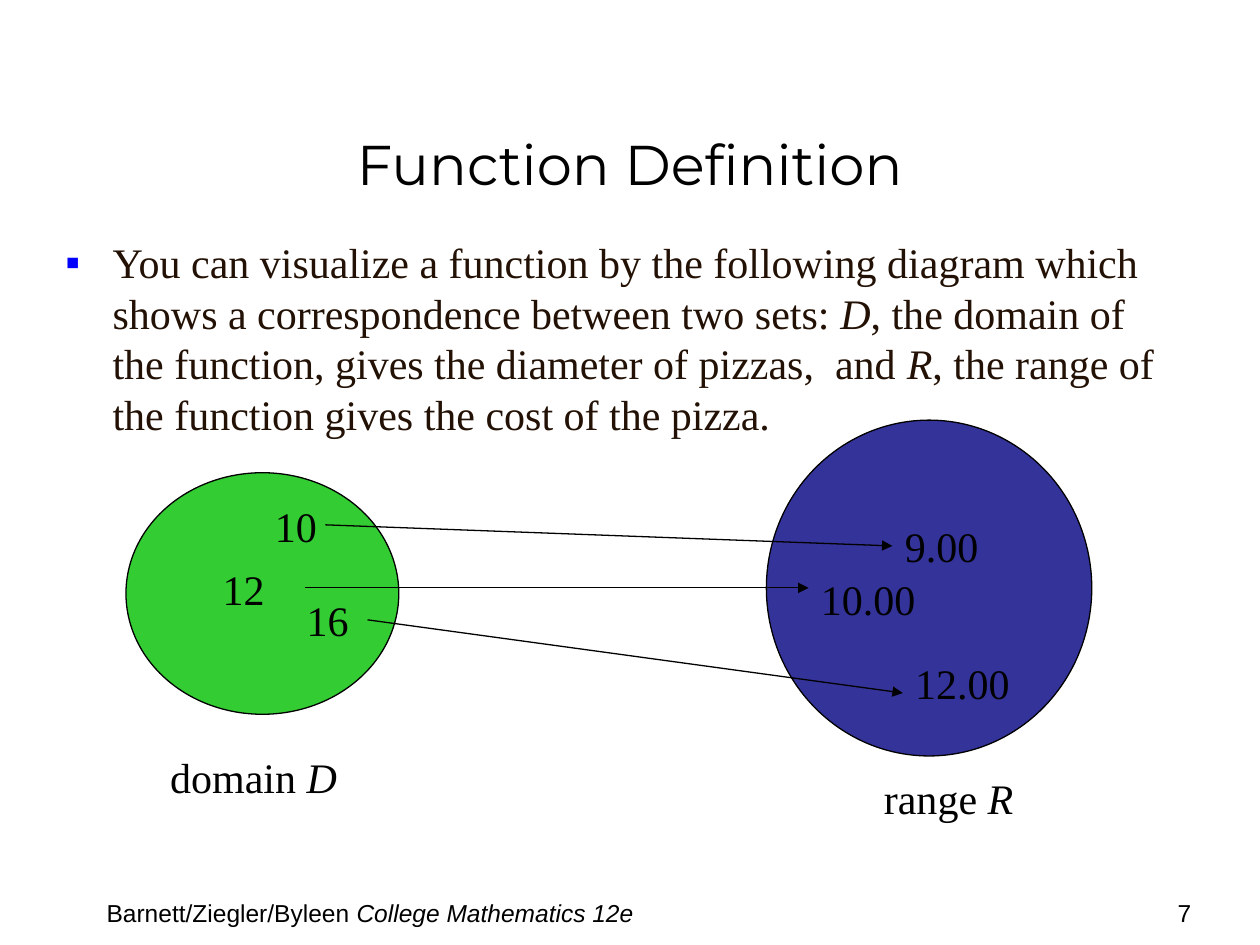
from lxml import etree
from pptx import Presentation
from pptx.dml.color import RGBColor
from pptx.enum.shapes import MSO_CONNECTOR, MSO_SHAPE
from pptx.enum.text import MSO_ANCHOR, PP_ALIGN
from pptx.oxml.ns import qn
from pptx.util import Cm, Pt

STRAIGHT = MSO_CONNECTOR.STRAIGHT
OVAL = MSO_SHAPE.OVAL
TOP, MIDDLE = MSO_ANCHOR.TOP, MSO_ANCHOR.MIDDLE
LEFT, CENTER = PP_ALIGN.LEFT, PP_ALIGN.CENTER
LEFT_SIDE, RIGHT_SIDE = 1, 3
SERIF, SANS, DISPLAY = "Times New Roman", "Arial", "Montserrat"
BLACK, BROWN, BLUE = "000000", "221104", "0000FF"
GREEN, INDIGO = "33CC33", "333399"
LABEL_HEIGHT = 1.27


def color(value):
    """Turn a hex string into a colour."""
    return RGBColor.from_string(value)


def add_bullet(paragraph, character, fill, indent):
    """Give a paragraph a coloured bullet and a hanging indent."""
    properties = paragraph._p.get_or_add_pPr()
    properties.set("marL", str(Cm(indent)))
    properties.set("indent", str(-Cm(indent)))
    bullet_color = etree.SubElement(properties, qn("a:buClr"))
    etree.SubElement(bullet_color, qn("a:srgbClr"), val=fill)
    etree.SubElement(properties, qn("a:buFont"), typeface=SANS)
    etree.SubElement(properties, qn("a:buChar"), char=character)


def add_text(slide, box, text, size=24, font=SERIF, fill=BLACK, align=LEFT,
             anchor=TOP, wrap=True, bullet=None):
    """Add a text box in which asterisks enclose italic passages."""
    shape = slide.shapes.add_textbox(*map(Cm, box))
    frame = shape.text_frame
    frame.word_wrap = wrap
    frame.vertical_anchor = anchor
    paragraph = frame.paragraphs[0]
    paragraph.alignment = align
    if bullet:
        add_bullet(paragraph, bullet, BLUE, 0.95)
    for index, part in enumerate(text.split("*")):
        if part:
            run = paragraph.add_run()
            run.text = part
            run.font.size = Pt(size)
            run.font.name = font
            run.font.italic = index % 2 == 1
            run.font.color.rgb = color(fill)
    return shape


def add_arrow(slide, start, end):
    """Add a thin black line with a triangular head at its end."""
    arrow = slide.shapes.add_connector(STRAIGHT, *map(Cm, start + end))
    arrow.line.color.rgb = color(BLACK)
    arrow.line.width = Pt(0.75)
    line = arrow.line._get_or_add_ln()
    etree.SubElement(line, qn("a:tailEnd"), type="triangle")
    etree.SubElement(arrow._element.spPr, qn("a:effectLst"))
    return arrow


def add_set(slide, box, fill, members, caption):
    """Draw a set as an ellipse with its members and caption."""
    left, top, width, height = box
    ellipse = slide.shapes.add_shape(OVAL, *map(Cm, box))
    ellipse.shadow.inherit = False
    ellipse.fill.solid()
    ellipse.fill.fore_color.rgb = color(fill)
    ellipse.line.color.rgb = color(BLACK)
    ellipse.line.width = Pt(0.75)
    labels = {}
    for text, x, y, label_width in members + [caption]:
        label_box = (left + x, top + y, label_width, LABEL_HEIGHT)
        labels[text] = add_text(slide, label_box, text)
    return labels


def add_mapping(slide, box):
    """Draw the domain, the range and the arrows between them."""
    left, top, width, height = box
    domain = add_set(
        slide, (left, top + 1.06, 5.5, 4.87), GREEN,
        [("10", 2.75, 0.43, 1.7), ("12", 1.7, 1.7, 1.7), ("16", 3.39, 2.33, 1.48)],
        ("domain *D*", 0.64, 5.5, 4.02))
    range_width = 6.56
    costs = add_set(
        slide, (left + width - range_width, top, range_width, 6.77), INDIGO,
        [("9.00", 2.54, 1.9, 2.96), ("10.00", 0.85, 2.96, 2.75),
         ("12.00", 2.75, 4.66, 2.75)],
        ("range *R*", 2.12, 6.98, 3.39))
    ends = [((4.02, 2.11), (15.45, 2.54)),
            ((3.6, 3.38), (13.76, 3.38)),
            ((4.87, 4.03), (15.66, 5.5))]
    first, _, last = [
        add_arrow(slide, (left + x1, top + y1), (left + x2, top + y2))
        for (x1, y1), (x2, y2) in ends]
    first.end_connect(costs["9.00"], LEFT_SIDE)
    last.begin_connect(domain["16"], RIGHT_SIDE)


def add_heading(slide, box):
    """Add the title and the bulleted explanation below it."""
    left, top, width, height = box
    add_text(slide, (left + 0.83, top, 21.6, 3.18), "Function Definition",
             size=32, font=DISPLAY, align=CENTER, anchor=MIDDLE)
    add_text(slide, (left, top + 2.95, width, height - 2.95),
             "You can visualize a function by the following diagram which shows "
             "a correspondence between two sets: *D*, the domain of the function, "
             "gives the diameter of pizzas,  and *R*, the range of the function "
             "gives the cost of the pizza.", fill=BROWN, bullet="▪")


def add_footer(slide, box):
    """Add the book reference and the slide number."""
    left, top, width, height = box
    add_text(slide, (left, top, 14.8, height),
             "Barnett/Ziegler/Byleen *College Mathematics 12e*", size=14, font=SANS)
    add_text(slide, (left + width - 1.12, top, 1.12, height), "7",
             size=14, font=SANS, wrap=False)


def main():
    """Build and save the slide."""
    presentation = Presentation()
    presentation.slide_width, presentation.slide_height = Cm(25.4), Cm(19.05)
    slide = presentation.slides.add_slide(presentation.slide_layouts[6])
    add_heading(slide, (1.07, 1.7, 22.7, 15.45))
    add_mapping(slide, (2.54, 8.47, 19.47, 8.25))
    add_footer(slide, (1.9, 17.98, 22.71, 0.84))
    presentation.save("out.pptx")


if __name__ == "__main__":
    main()
